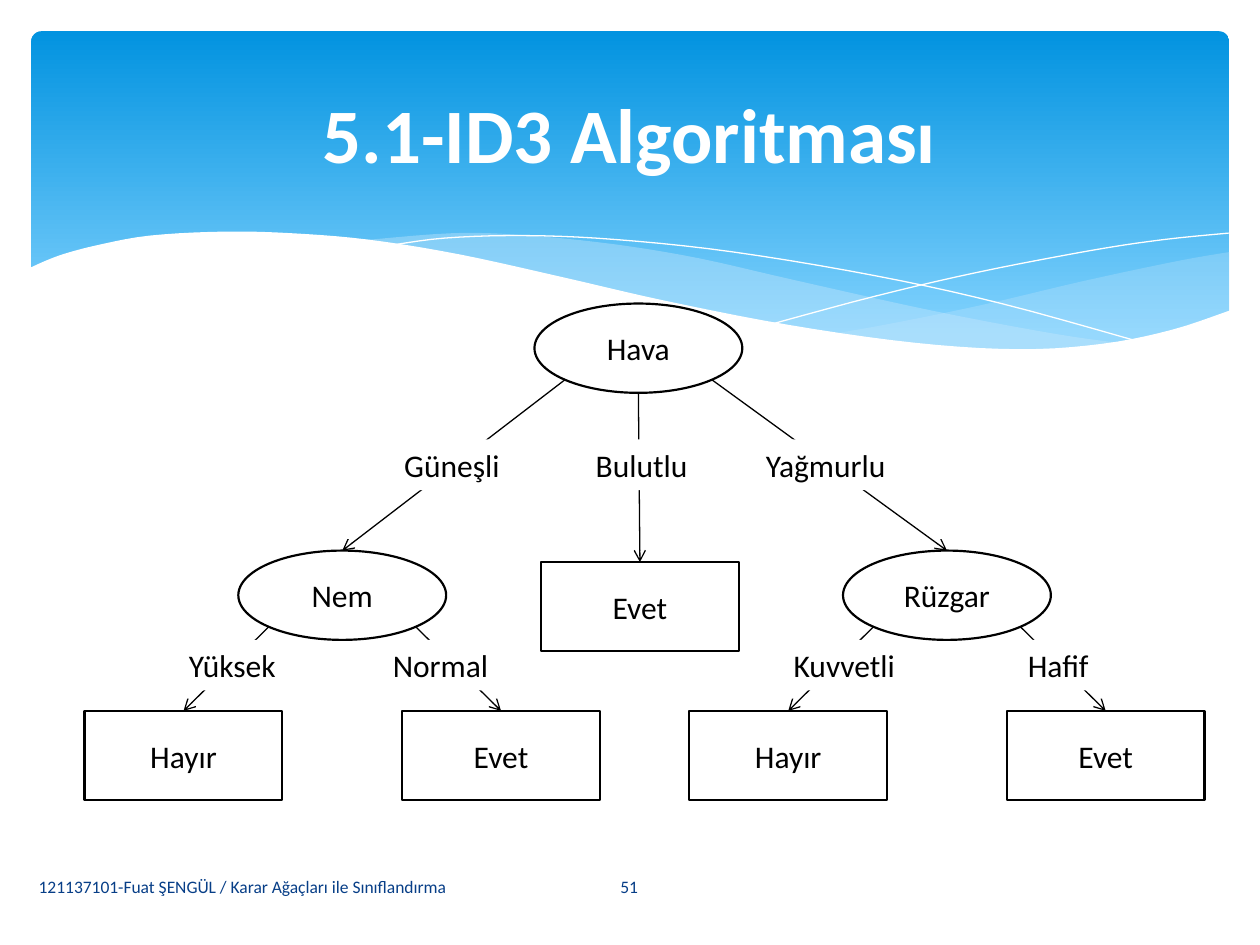
from dataclasses import dataclass
from math import sqrt

from lxml.etree import SubElement
from pptx import Presentation
from pptx.dml.color import RGBColor as RGB
from pptx.enum.shapes import MSO_CONNECTOR as LINK, MSO_SHAPE as SHAPE
from pptx.enum.text import MSO_ANCHOR as ANCHOR, PP_ALIGN as ALIGN
from pptx.oxml.ns import qn
from pptx.util import Cm, Pt


@dataclass(frozen=True)
class Theme:
    font: str = "Calibri"
    ink: RGB = RGB(0, 0, 0)
    white: RGB = RGB(255, 255, 255)
    footer: RGB = RGB(0x07, 0x3E, 0x87)
    sky_top: RGB = RGB(0x02, 0x93, 0xE0)
    sky_bottom: RGB = RGB(0x83, 0xD3, 0xFE)
    swell: RGB = RGB(0xC6, 0xE7, 0xFC)
    title_size: Pt = Pt(44)
    tree_size: Pt = Pt(18)
    footer_size: Pt = Pt(10)
    outline: Pt = Pt(1.25)
    edge: Pt = Pt(0.75)


THEME = Theme()

# Banner curves as knots in cm
RIGHT_SWELL_TOP = [(24.79, 5.08), (23.75, 5.26), (21.87, 5.66), (19.79, 6.15),
                   (17.93, 6.53), (16.79, 6.73)]
RIGHT_SWELL_BASE = [(16.79, 6.73), (18.26, 6.91), (19.53, 7.04), (20.93, 7.04),
                    (22.15, 6.96), (23.39, 6.73), (24.1, 6.53), (24.79, 6.27)]
LEFT_SWELL_TOP = [(22.68, 6.93), (21.26, 6.73), (18.82, 6.27), (15.98, 5.64),
                  (14.1, 5.21), (12.42, 4.93), (10.67, 4.75), (9.17, 4.7),
                  (7.26, 4.85)]
LEFT_SWELL_BASE = [(7.26, 4.85), (9.19, 5.16), (11.4, 5.64), (14.38, 6.3),
                   (16.51, 6.71), (18.34, 6.96), (20.22, 7.06), (21.54, 7.04),
                   (22.68, 6.93)]
FALLING_LINE = [(7.85, 4.95), (8.97, 4.8), (10.57, 4.75), (12.42, 4.83),
                (14.78, 5.08), (17.65, 5.56), (20.19, 6.12), (23.04, 6.91)]
RISING_LINE = [(15.57, 6.53), (17.65, 5.97), (19.71, 5.49), (22, 5.05),
               (23.47, 4.83), (24.77, 4.7)]
WHITE_WAVE = [(24.82, 6.25), (23.62, 6.65), (22.23, 6.93), (20.55, 7.04),
              (18.44, 6.91), (15.9, 6.55), (13.44, 6.07), (11.35, 5.59),
              (9.27, 5.13), (7.42, 4.83), (5.84, 4.7), (4.5, 4.67),
              (3.02, 4.75), (1.93, 4.95), (1.17, 5.16), (0.58, 5.41)]
WAVE_FLOOR = [(0.58, 8.36), (24.82, 8.36)]

# Tree measures in cm
OVAL_W, BOX_W, NODE_H = 4.19, 3.99, 1.8
LABEL_H = 1.02
LEAF_TOP, LEAF_SPREAD = 14.33, 3.2


def smooth(knots, steps=5):
    """Catmull-Rom curve through the knots."""
    padded = [knots[0], *knots, knots[-1]]
    curve = [knots[0]]
    for a, b, c, d in zip(padded, padded[1:], padded[2:], padded[3:]):
        for step in range(1, steps + 1):
            t = step / steps
            curve.append(tuple(
                (2 * q + (r - p) * t + (2 * p - 5 * q + 4 * r - s) * t ** 2
                 + (3 * q - p - 3 * r + s) * t ** 3) / 2
                for p, q, r, s in zip(a, b, c, d)))
    return curve


def add_curve(slide, points, fill=None, opacity=None):
    """Filled area, or an open hairline when no fill is given."""
    start, *rest = [(Cm(x), Cm(y)) for x, y in points]
    builder = slide.shapes.build_freeform(*start)
    builder.add_line_segments(rest, close=fill is not None)
    curve = builder.convert_to_shape()
    curve.shadow.inherit = False
    if fill is None:
        curve.fill.background()
        curve.line.color.rgb = THEME.white
        curve.line.width = Pt(0)
        return
    curve.fill.solid()
    curve.fill.fore_color.rgb = fill
    curve.line.fill.background()
    if opacity:
        color = curve.fill._xPr.find(".//" + qn("a:srgbClr"))
        SubElement(color, qn("a:alpha"), val=str(opacity * 1000))


def write(frame, text, size, color, align=ALIGN.CENTER, anchor=ANCHOR.MIDDLE,
          bold=False, wrap=True):
    frame.word_wrap = wrap
    frame.vertical_anchor = anchor
    line = frame.paragraphs[0]
    line.text = text
    line.alignment = align
    line.font.name, line.font.size = THEME.font, size
    line.font.color.rgb, line.font.bold = color, bold


def add_text(slide, text, left, top, width, height, size, color, **style):
    box = slide.shapes.add_textbox(Cm(left), Cm(top), Cm(width), Cm(height))
    write(box.text_frame, text, size, color, **style)
    return box


def add_node(slide, kind, text, center, top):
    width = OVAL_W if kind == SHAPE.OVAL else BOX_W
    node = slide.shapes.add_shape(kind, Cm(center - width / 2), Cm(top),
                                  Cm(width), Cm(NODE_H))
    node.shadow.inherit = False
    node.fill.background()
    node.line.color.rgb = THEME.ink
    node.line.width = THEME.outline
    write(node.text_frame, text, THEME.tree_size, THEME.ink)
    return node


def add_edge(slide, parent, child, side):
    """Arrow from the parent's lower rim (side -1, 0 or 1) to the child's top."""
    reach_x, reach_y = (sqrt(0.5), sqrt(0.5)) if side else (0, 1)
    x = parent.left + parent.width * (1 + side * reach_x) / 2
    y = parent.top + parent.height * (1 + reach_y) / 2
    edge = slide.shapes.add_connector(LINK.STRAIGHT, int(x), int(y), 0, 0)
    edge.end_connect(child, 0)
    edge.line.color.rgb = THEME.ink
    edge.line.width = THEME.edge
    SubElement(edge.line._get_or_add_ln(), qn("a:tailEnd"), type="arrow")
    SubElement(edge._element.spPr, qn("a:effectLst"))


def add_label(slide, text, left, top, width):
    label = add_text(slide, text, left, top, width, LABEL_H, THEME.tree_size,
                     THEME.ink, align=ALIGN.LEFT, anchor=ANCHOR.TOP, wrap=False)
    label.fill.solid()
    label.fill.fore_color.rgb = THEME.white


def add_banner(slide):
    sky = slide.shapes.add_shape(SHAPE.ROUNDED_RECTANGLE, Cm(0.63), Cm(0.63),
                                 Cm(24.15), Cm(6.86))
    sky.adjustments[0] = 0.03
    sky.shadow.inherit = False
    sky.line.fill.background()
    sky.fill.gradient()
    sky.fill.gradient_angle = 270
    stops = ((0, THEME.sky_top), (0.9, THEME.sky_bottom))
    for stop, (position, color) in zip(sky.fill.gradient_stops, stops):
        stop.position, stop.color.rgb = position, color

    add_curve(slide, smooth(RIGHT_SWELL_TOP) + smooth(RIGHT_SWELL_BASE),
              THEME.swell, 29)
    add_curve(slide, smooth(LEFT_SWELL_TOP) + smooth(LEFT_SWELL_BASE),
              THEME.swell, 40)
    add_curve(slide, smooth(FALLING_LINE))
    add_curve(slide, smooth(RISING_LINE))
    add_curve(slide, smooth(WHITE_WAVE) + WAVE_FLOOR, THEME.white)


def add_tree(slide):
    root = add_node(slide, SHAPE.OVAL, "Hava", 12.87, 6.12)
    humidity = add_node(slide, SHAPE.OVAL, "Nem", 6.9, 11.1)
    overcast = add_node(slide, SHAPE.RECTANGLE, "Evet", 12.9, 11.33)
    wind = add_node(slide, SHAPE.OVAL, "Rüzgar", 19.09, 11.1)
    for side, child in zip((-1, 0, 1), (humidity, overcast, wind)):
        add_edge(slide, root, child, side)

    for parent, center in ((humidity, 6.9), (wind, 19.09)):
        for side, answer in ((-1, "Hayır"), (1, "Evet")):
            leaf = add_node(slide, SHAPE.RECTANGLE, answer,
                            center + side * LEAF_SPREAD, LEAF_TOP)
            add_edge(slide, parent, leaf, side)

    # Branch labels cover the middle of the arrows
    branches = {
        8.86: (("Güneşli", 7.9, 2.49), ("Bulutlu", 11.76, 2.44),
               ("Yağmurlu", 15.19, 3.1)),
        12.9: (("Yüksek", 3.56, 2.41), ("Normal", 7.67, 2.51),
               ("Kuvvetli", 15.75, 2.69), ("Hafif", 20.47, 1.83)),
    }
    for top, labels in branches.items():
        for text, left, width in labels:
            add_label(slide, text, left, top, width)


def main():
    deck = Presentation()
    deck.slide_width, deck.slide_height = Cm(25.4), Cm(19.05)
    slide = deck.slides.add_slide(deck.slide_layouts[6])
    add_banner(slide)
    add_text(slide, "5.1-ID3 Algoritması", 1.27, 0.94, 22.86, 3.48,
             THEME.title_size, THEME.white, bold=True)
    add_tree(slide)
    # Footer
    add_text(slide, "121137101-Fuat ŞENGÜL / Karar Ağaçları ile Sınıflandırma",
             0.53, 17.37, 10.52, 1.02, THEME.footer_size, THEME.footer,
             align=ALIGN.LEFT)
    add_text(slide, "51", 11.07, 17.37, 3.23, 1.02, THEME.footer_size,
             THEME.footer)
    deck.save("out.pptx")


if __name__ == "__main__":
    main()
